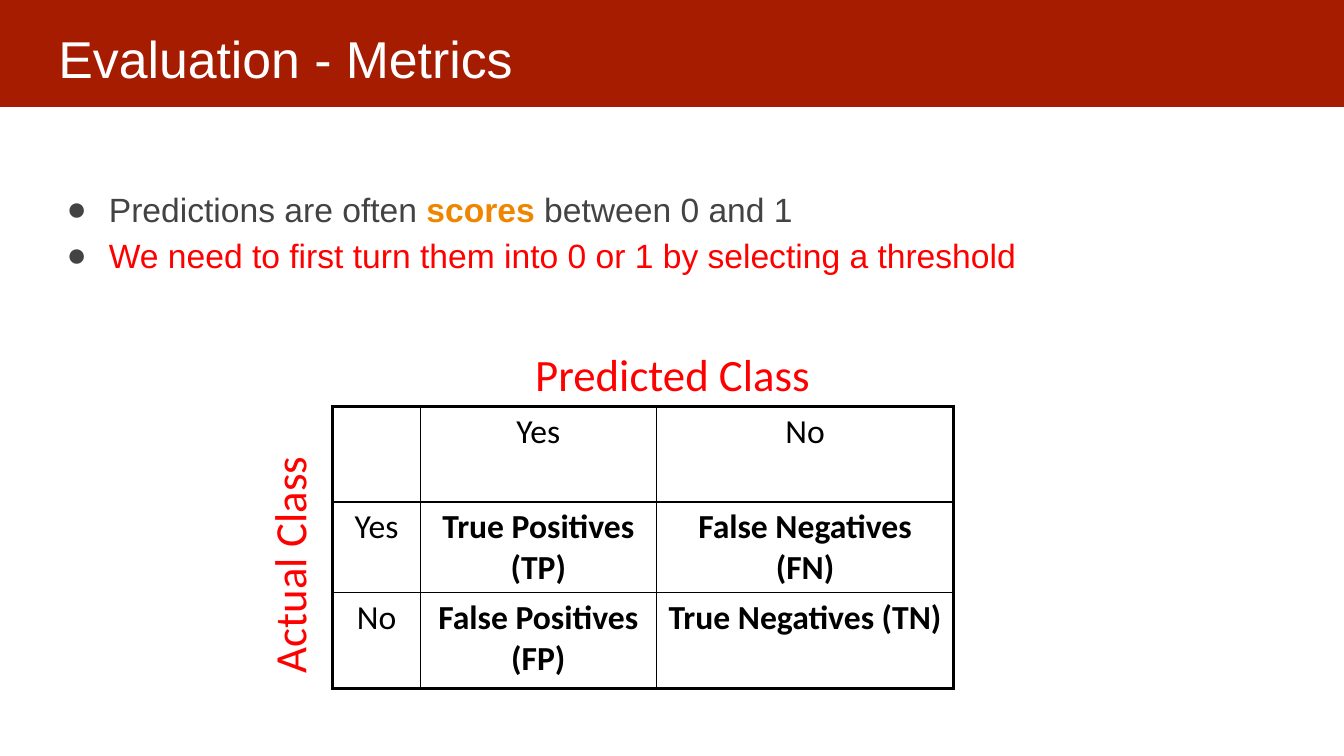
from pptx import Presentation
from pptx.dml.color import RGBColor
from pptx.enum.shapes import MSO_SHAPE as SHAPE
from pptx.enum.text import MSO_AUTO_SIZE as AUTO, PP_ALIGN as ALIGN
from pptx.oxml.ns import qn
from pptx.util import Inches, Pt
from lxml.etree import SubElement

COLORS = {"band": "A61C00", "white": "FFFFFF", "gray": "434343",
          "orange": "EF8600", "red": "FF0000", "black": "000000"}
THIN, THICK = 1, 2.25


def rgb(name):
    return RGBColor.from_string(COLORS[name])


class SlideBuilder:
    heading_font = "Arial"
    table_font = "Calibri"

    def __init__(self, slide):
        self.s = slide

    def run(self, p, text, size, color, font, bold=False):
        r = p.add_run()
        r.text = text
        r.font.size, r.font.name, r.font.bold = Pt(size), font, bold
        r.font.color.rgb = rgb(color)

    def band(self, *box):
        sp = self.s.shapes.add_shape(SHAPE.RECTANGLE, *map(Inches, box))
        sp.shadow.inherit = False
        sp.fill.solid()
        sp.fill.fore_color.rgb = rgb("band")
        sp.line.fill.background()

    def text_box(self, box, inset=None, wrap=True):
        sp = self.s.shapes.add_textbox(*map(Inches, box))
        tf = sp.text_frame
        tf.word_wrap = wrap
        if inset is not None:
            tf.margin_left = tf.margin_right = Inches(inset)
            tf.margin_top = tf.margin_bottom = Inches(inset)
        return sp

    def title(self, text, box):
        tf = self.text_box(box, 0.13).text_frame
        tf.margin_top = Inches(0.18)
        self.run(tf.paragraphs[0], text, 37, "white", self.heading_font)

    def bullets(self, items, box):
        """Each item is a list of (text, color, bold) runs."""
        tf = self.text_box(box, 0.13).text_frame
        for i, runs in enumerate(items):
            p = tf.add_paragraph() if i else tf.paragraphs[0]
            p.line_spacing = 1.15
            pPr = p._p.get_or_add_pPr()
            pPr.set("marL", str(Inches(0.5)))
            pPr.set("indent", str(Inches(-0.42)))
            clr = SubElement(pPr, qn("a:buClr"))
            SubElement(clr, qn("a:srgbClr"), val=COLORS["gray"])
            SubElement(pPr, qn("a:buFont"), typeface=self.heading_font)
            SubElement(pPr, qn("a:buChar"), char="●")
            for text, color, bold in runs:
                self.run(p, text, 24, color, self.heading_font, bold)

    def axis_label(self, text, box, rotation=0, wrap=True):
        sp = self.text_box(box, wrap=wrap)
        sp.rotation = rotation
        sp.text_frame.auto_size = AUTO.SHAPE_TO_FIT_TEXT
        self.run(sp.text_frame.paragraphs[0], text, 32, "red", self.table_font)

    def border(self, cell, side, width):
        ln = SubElement(cell._tc.get_or_add_tcPr(), qn(f"a:ln{side}"),
                        w=str(Pt(width)))
        fill = SubElement(ln, qn("a:solidFill"))
        SubElement(fill, qn("a:srgbClr"), val=COLORS["black"])

    def matrix(self, rows, left, top, widths, heights):
        """Table with a thick outline, thin inner lines and bold inner cells."""
        n_rows, n_cols = len(heights), len(widths)
        table = self.s.shapes.add_table(
            n_rows, n_cols, Inches(left), Inches(top),
            Inches(sum(widths)), Inches(sum(heights))).table
        table.first_row = table.horz_banding = False
        for col, w in zip(table.columns, widths):
            col.width = Inches(w)
        for row, h in zip(table.rows, heights):
            row.height = Inches(h)
        for i, texts in enumerate(rows):
            for j, text in enumerate(texts):
                cell = table.cell(i, j)
                outer = {"L": j == 0, "R": j == n_cols - 1,
                         "T": i == 0, "B": i == n_rows - 1}
                for side, is_outer in outer.items():
                    self.border(cell, side, THICK if is_outer else THIN)
                cell.fill.background()
                p = cell.text_frame.paragraphs[0]
                p.alignment = ALIGN.CENTER
                if text:
                    self.run(p, text, 24, "black", self.table_font,
                             bold=i > 0 and j > 0)


def main():
    prs = Presentation()
    prs.slide_width, prs.slide_height = Inches(13.33), Inches(7.5)
    b = SlideBuilder(prs.slides.add_slide(prs.slide_layouts[6]))

    b.band(-0.02, -0.04, 13.36, 1.1)
    b.title("Evaluation - Metrics", (0.45, 0.09, 12.42, 0.83))
    b.bullets([
        [("Predictions are often ", "gray", False),
         ("scores", "orange", True),
         (" between 0 and 1", "gray", False)],
        [("We need to first turn them into 0 or 1 by selecting a threshold",
          "red", False)],
    ], (0.45, 1.68, 12.42, 4.98))
    b.matrix([
        ["", "Yes", "No"],
        ["Yes", "True Positives (TP)", "False Negatives (FN)"],
        ["No", "False Positives (FP)", "True Negatives (TN)"],
    ], 3.3, 4.03, widths=[0.87, 2.34, 2.95], heights=[0.95, 0.84, 0.95])
    b.axis_label("Predicted Class", (5.21, 3.39, 2.98, 0.64))
    b.axis_label("Actual Class", (1.68, 5.27, 2.37, 0.64), 270, wrap=False)

    prs.save("out.pptx")


if __name__ == "__main__":
    main()
